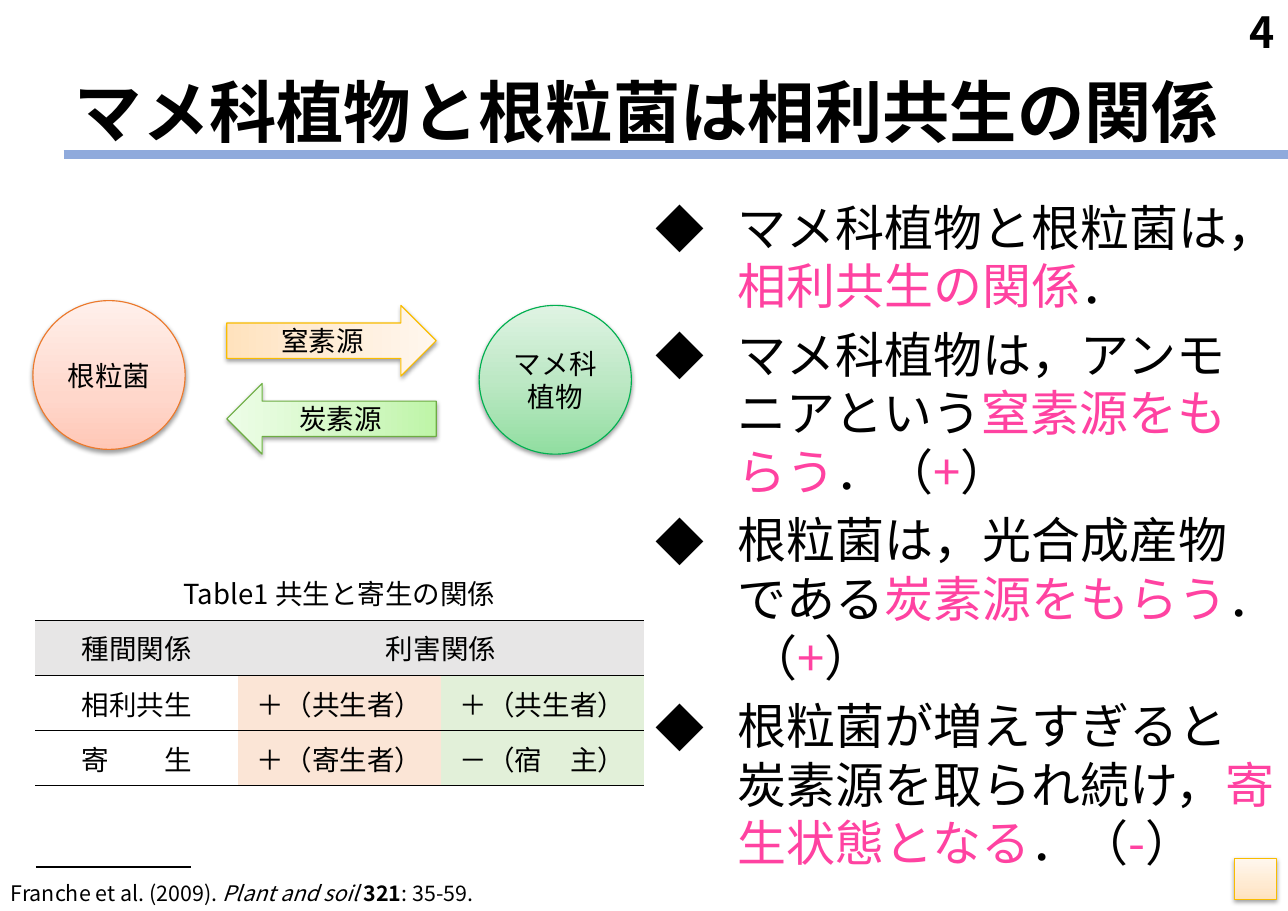
from lxml import etree
from pptx import Presentation
from pptx.dml.color import RGBColor
from pptx.enum.shapes import MSO_CONNECTOR, MSO_SHAPE as Shape
from pptx.enum.text import MSO_ANCHOR as Anchor, MSO_AUTO_SIZE as AutoSize, PP_ALIGN as Align
from pptx.oxml import parse_xml
from pptx.oxml.ns import nsdecls, qn
from pptx.util import Cm, Pt

FONT = "Noto Sans CJK JP"
BLACK, PINK = "000000", "FF42A1"
GREY, PEACH, MINT = "E7E6E6", "FBE5D6", "E2F0D9"
ORANGE_STOPS = [(0, "FFE2BD"), (35, "FFEAD1"), (100, "FFF7EE")]
RED_STOPS = [(0, "FFC7B6"), (35, "FFD7CB"), (100, "FFF0EB")]
LEAF_STOPS = [(0, "91DEA0"), (50, "BDE8C5"), (100, "DFF3E3")]
LIME_STOPS = [(0, "BEF5A7"), (35, "D1F7C2"), (100, "EDFDE7")]
NO_GRID_STYLE = "{2D5ABB26-0587-4C30-8999-92F81FD0307C}"

POINTS = [
    [("マメ科植物と根粒菌は，", BLACK), ("相利共生の関係", PINK), ("．", BLACK)],
    [("マメ科植物は，アンモニアという", BLACK), ("窒素源をもらう", PINK),
     ("．（", BLACK), ("+", PINK), ("）", BLACK)],
    [("根粒菌は，光合成産物である", BLACK), ("炭素源をもらう", PINK),
     ("． （", BLACK), ("+", PINK), ("）", BLACK)],
    [("根粒菌が増えすぎると炭素源を取られ続け，", BLACK), ("寄生状態となる", PINK),
     ("．（", BLACK), ("-", PINK), ("）", BLACK)],
]
RELATIONS = [
    [("Table1 共生と寄生の関係", None)],
    [("種間関係", GREY), ("利害関係", GREY)],
    [("相利共生", None), ("＋（共生者）", PEACH), ("＋（共生者）", MINT)],
    [("寄　　生", None), ("＋（寄生者）", PEACH), ("－（宿　主）", MINT)],
]


def rgb(value):
    """Turn a hex string into a colour."""
    return RGBColor.from_string(value)


def place(left, top, width, height):
    """Give a frame in centimetres as lengths."""
    return Cm(left), Cm(top), Cm(width), Cm(height)


def add_span(para, text, size, color=BLACK, bold=False, italic=False):
    """Add one formatted run to a paragraph."""
    span = para.add_run()
    span.text = text
    font = span.font
    font.size, font.bold, font.italic, font.name = Pt(size), bold, italic, FONT
    font.color.rgb = rgb(color)
    etree.SubElement(span._r.get_or_add_rPr(), qn("a:ea"), typeface=FONT)


def set_frame(frame, anchor):
    """Make a text frame wrap at a fixed size with the given anchor."""
    frame.word_wrap = True
    frame.auto_size = AutoSize.NONE
    frame.vertical_anchor = anchor
    return frame


def add_box(page, frame, anchor):
    """Add a text box and return its text frame."""
    return set_frame(page.shapes.add_textbox(*place(*frame)).text_frame, anchor)


def add_rule(page, left, right, top, color, weight):
    """Draw a horizontal line."""
    rule = page.shapes.add_connector(
        MSO_CONNECTOR.STRAIGHT, Cm(left), Cm(top), Cm(right), Cm(top))
    rule.line.color.rgb = rgb(color)
    rule.line.width = Pt(weight)
    etree.SubElement(rule._element.spPr, qn("a:effectLst"))


def add_glossy(page, kind, frame, stops, angle, line, lines=()):
    """Add a gradient shape with a soft shadow and centred label lines."""
    shape = page.shapes.add_shape(kind, *place(*frame))
    shape.line.color.rgb = rgb(line)
    shape.line.width = Pt(0.75)
    shape.shadow.inherit = False
    marks = "".join(f'<a:gs pos="{pos * 1000}"><a:srgbClr val="{color}"/></a:gs>'
                    for pos, color in stops)
    properties = shape._element.spPr
    properties.find(qn("a:prstGeom")).addnext(parse_xml(
        f'<a:gradFill {nsdecls("a")} rotWithShape="1"><a:gsLst>{marks}</a:gsLst>'
        f'<a:lin ang="{angle * 60000}" scaled="0"/></a:gradFill>'))
    properties.find(qn("a:effectLst")).append(parse_xml(
        f'<a:outerShdw {nsdecls("a")} blurRad="{Pt(3.1)}" dist="{Pt(1.6)}" dir="5400000" '
        'rotWithShape="0"><a:srgbClr val="000000"><a:alpha val="38000"/></a:srgbClr>'
        '</a:outerShdw>'))
    frame = set_frame(shape.text_frame, Anchor.MIDDLE)
    for index, text in enumerate(lines):
        para = frame.add_paragraph() if index else frame.paragraphs[0]
        para.alignment = Align.CENTER
        para.line_spacing = Pt(21.6)
        add_span(para, text, 18)


def add_points(page):
    """Add the diamond-bulleted statements."""
    frame = add_box(page, (14.86, 3.66, 14.78, 17.32), Anchor.MIDDLE)
    for index, point in enumerate(POINTS):
        para = frame.add_paragraph() if index else frame.paragraphs[0]
        para.line_spacing = Pt(38.3)
        if index:
            para.space_before = Pt(6.4)
        properties = para._p.get_or_add_pPr()
        properties.set("marL", str(Cm(1.9)))
        properties.set("indent", str(-Cm(1.9)))
        etree.SubElement(properties, qn("a:buFont"), typeface=FONT)
        etree.SubElement(properties, qn("a:buChar"), char="◆")
        for text, color in point:
            add_span(para, text, 32, color)


def fill_cell(cell, text, fill):
    """Write a centred cell with a line below it."""
    cell.vertical_anchor = Anchor.MIDDLE
    para = cell.text_frame.paragraphs[0]
    para.alignment = Align.CENTER
    if text:
        add_span(para, text, 18)
    properties = cell._tc.get_or_add_tcPr()
    properties.append(parse_xml(
        f'<a:lnB {nsdecls("a")} w="{Pt(1)}"><a:solidFill><a:srgbClr val="{BLACK}"/>'
        '</a:solidFill></a:lnB>'))
    if fill:
        cell.fill.solid()
        cell.fill.fore_color.rgb = rgb(fill)
    else:
        cell.fill.background()


def add_relations(page):
    """Add the table of relations, the last entry of a row filling the rest."""
    table = page.shapes.add_table(4, 3, *place(0.81, 13.03, 14.04, 5.08)).table
    table.first_row = table.horz_banding = False
    table._tbl.tblPr.find(qn("a:tableStyleId")).text = NO_GRID_STYLE
    for row, entries in enumerate(RELATIONS):
        last = len(entries) - 1
        for column in range(3):
            text, fill = entries[min(column, last)]
            fill_cell(table.cell(row, column), text if column <= last else "", fill)
        if last < 2:
            table.cell(row, last).merge(table.cell(row, 2))


def add_title(page):
    """Move and format the title."""
    title = page.shapes.title
    title.left, title.top, title.width, title.height = place(1.47, 1.12, 28.15, 2.49)
    para = set_frame(title.text_frame, Anchor.BOTTOM).paragraphs[0]
    para.alignment = Align.LEFT
    para.line_spacing = Pt(52.8)
    add_span(para, "マメ科植物と根粒菌は相利共生の関係", 44, bold=True)


def add_margins(page):
    """Add the page number and the reference."""
    number = add_box(page, (26.52, 0, 3.13, 1.86), Anchor.TOP).paragraphs[0]
    number.alignment = Align.RIGHT
    number.line_spacing = Pt(33.6)
    add_span(number, "4", 28, bold=True)
    reference = add_box(page, (0, 20.07, 29.62, 0.94), Anchor.BOTTOM).paragraphs[0]
    reference.line_spacing = Pt(16.8)
    add_span(reference, "Franche et al. (2009). ", 14)
    add_span(reference, "Plant and soil ", 14, italic=True)
    add_span(reference, "321", 14, bold=True)
    add_span(reference, ": 35-59.", 14)


def add_exchange(page):
    """Draw the two partners and what they trade."""
    add_glossy(page, Shape.OVAL, (11.05, 7.04, 3.51, 3.43), LEAF_STOPS, 270,
               "00B050", ["マメ科", "植物"])
    add_glossy(page, Shape.OVAL, (0.76, 6.93, 3.51, 3.43), RED_STOPS, 270,
               "EC792B", ["根粒菌"])
    add_glossy(page, Shape.RIGHT_ARROW, (5.23, 7.04, 4.83, 1.63), ORANGE_STOPS, 0,
               "F9BC00", ["窒素源"])
    add_glossy(page, Shape.LEFT_ARROW, (5.23, 8.84, 4.83, 1.63), LIME_STOPS, 180,
               "6DAC43", ["炭素源"])


def main():
    """Build the slide and save it."""
    deck = Presentation()
    deck.slide_width, deck.slide_height = Cm(29.7), Cm(21)
    page = deck.slides.add_slide(deck.slide_layouts[5])
    add_rule(page, 1.47, 29.7, 3.56, "8FAADC", 6)
    add_rule(page, 0.83, 4.4, 19.99, BLACK, 1)
    add_title(page)
    add_margins(page)
    add_points(page)
    add_relations(page)
    add_exchange(page)
    add_glossy(page, Shape.ACTION_BUTTON_CUSTOM, (28.47, 19.79, 0.97, 0.94),
               ORANGE_STOPS, 270, "F9BC00")
    deck.save("out.pptx")


if __name__ == "__main__":
    main()
